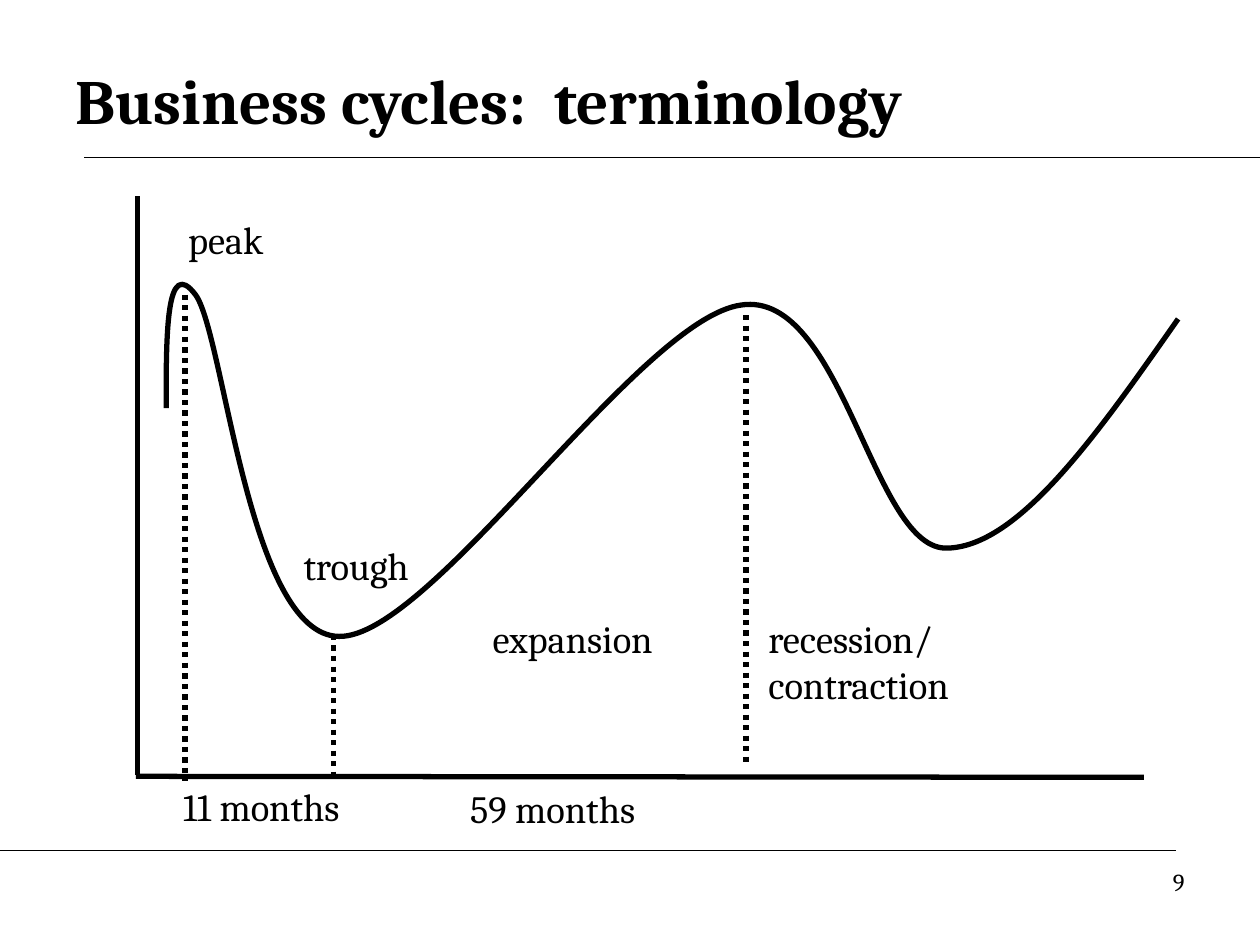
from dataclasses import dataclass

import lxml.etree
import pptx
import pptx.dml.color
import pptx.enum.dml
import pptx.enum.shapes
import pptx.enum.text
import pptx.oxml.ns
import pptx.util

Cm = pptx.util.Cm
Pt = pptx.util.Pt
ALIGN = pptx.enum.text.PP_ALIGN
ANCHOR = pptx.enum.text.MSO_ANCHOR
DOTTED = pptx.enum.dml.MSO_LINE.ROUND_DOT
qn = pptx.oxml.ns.qn

COLORS = {"ink": "000000"}
FONT = "Cambria"
THIN, THICK = 0.75, 3


@dataclass
class Rule:
    x1: float
    y1: float
    x2: float
    y2: float
    weight: float = THICK
    dotted: bool = False


@dataclass
class Label:
    text: str
    x: float
    y: float
    width: float
    height: float = 1.19
    size: float = 22
    bold: bool = False
    align: ALIGN = ALIGN.CENTER
    anchor: ANCHOR = ANCHOR.TOP


RULES = [
    Rule(1.7, 3.18, 25.4, 3.18, THIN),  # under the title
    Rule(0, 17.15, 23.7, 17.15, THIN),  # above the page number
    Rule(2.74, 15.65, 23.06, 15.67),  # time axis
    Rule(2.77, 15.62, 2.77, 3.96),  # output axis
    Rule(3.73, 5.94, 3.73, 15.75, dotted=True),  # first peak
    Rule(6.73, 12.8, 6.73, 15.7, dotted=True),  # trough
    Rule(15.04, 6.35, 15.04, 15.44, dotted=True),  # second peak
]

LABELS = [
    Label("Business cycles:  terminology", 1.27, 0.84, 22.86, 2.34, 36, True,
          ALIGN.LEFT, ANCHOR.MIDDLE),
    Label("peak", 3.18, 4.24, 2.74),
    Label("trough", 5.59, 10.8, 3.18),
    Label("expansion", 9.32, 12.27, 4.45),
    Label("recession/ contraction", 15.24, 12.27, 4.45, 2.13, align=ALIGN.LEFT),
    Label("11 months", 1.27, 15.67, 8),
    Label("59 months", 7.14, 15.7, 8),
    Label("9", 18.21, 17.35, 5.92, 1.32, 14, align=ALIGN.RIGHT),
]

# Start point, then two control points and an end point for each arc
CYCLE = [
    (3.35, 8.23),
    (3.35, 6.71), (3.35, 5.16), (3.94, 5.94),
    (4.52, 6.71), (5, 12.8), (6.83, 12.83),
    (8.66, 12.88), (12.9, 6.43), (14.94, 6.15),
    (16.97, 5.84), (17.58, 11), (19.05, 11.05),
    (20.5, 11.07), (22.12, 8.76), (23.75, 6.43),
]


def rgb(name: str) -> pptx.dml.color.RGBColor:
    return pptx.dml.color.RGBColor.from_string(COLORS[name])


def add_rule(slide, rule: Rule) -> None:
    sp = slide.shapes.add_connector(
        pptx.enum.shapes.MSO_CONNECTOR.STRAIGHT,
        Cm(rule.x1), Cm(rule.y1), Cm(rule.x2), Cm(rule.y2))
    sp.line.color.rgb = rgb("ink")
    sp.line.width = Pt(rule.weight)
    if rule.dotted:
        sp.line.dash_style = DOTTED
    lxml.etree.SubElement(sp._element.spPr, qn("a:effectLst"))


def add_label(slide, label: Label) -> None:
    sp = slide.shapes.add_textbox(
        Cm(label.x), Cm(label.y), Cm(label.width), Cm(label.height))
    tf = sp.text_frame
    tf.word_wrap = True
    tf.vertical_anchor = label.anchor
    p = tf.paragraphs[0]
    p.text = label.text
    p.alignment = label.align
    p.font.name = FONT
    p.font.size = Pt(label.size)
    p.font.bold = label.bold
    p.font.color.rgb = rgb("ink")


def add_curve(slide, points: list[tuple[float, float]]) -> None:
    """Draw an open freeform whose segments are cubic Bézier arcs."""
    start, *rest = [(Cm(x), Cm(y)) for x, y in points]
    builder = slide.shapes.build_freeform(*start)
    builder.add_line_segments(rest, close=False)
    sp = builder.convert_to_shape()
    sp.shadow.inherit = False
    sp.fill.background()
    sp.line.color.rgb = rgb("ink")
    sp.line.width = Pt(THICK)

    segments = list(sp._element.iter(qn("a:lnTo")))
    outline = segments[0].getparent()
    for i in range(0, len(segments), 3):
        arc = lxml.etree.SubElement(outline, qn("a:cubicBezTo"))
        for segment in segments[i:i + 3]:
            arc.append(segment[0])
            outline.remove(segment)


def main() -> None:
    prs = pptx.Presentation()
    prs.slide_width, prs.slide_height = Cm(25.4), Cm(19.05)
    slide = prs.slides.add_slide(prs.slide_layouts[6])
    for rule in RULES:
        add_rule(slide, rule)
    add_curve(slide, CYCLE)
    for label in LABELS:
        add_label(slide, label)
    prs.save("out.pptx")


if __name__ == "__main__":
    main()
